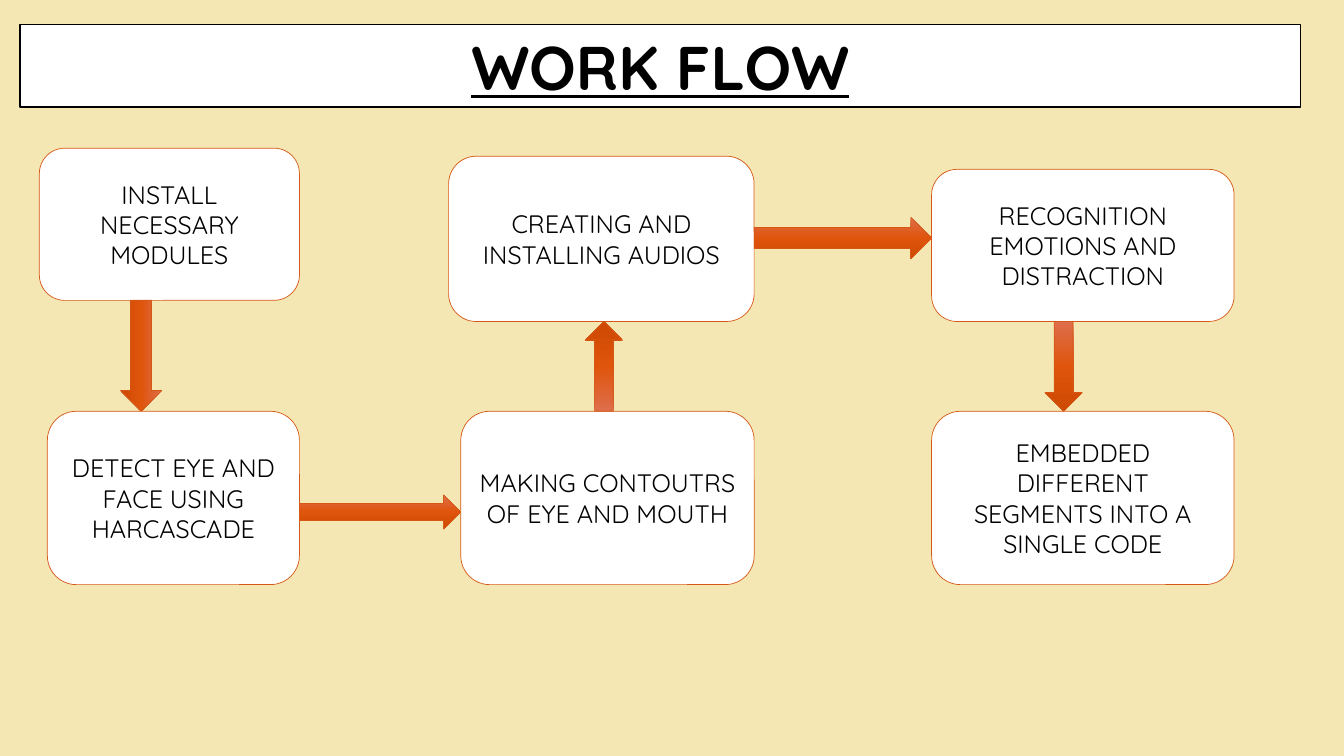
"""Build the work flow slide: six steps joined by block arrows."""
from dataclasses import dataclass

import pptx
import pptx.dml.color
import pptx.enum.shapes
import pptx.enum.text
import pptx.oxml
import pptx.oxml.ns
import pptx.util

Inches = pptx.util.Inches
Shape = pptx.enum.shapes.MSO_SHAPE

TITLE = "WORK FLOW"
TITLE_FRAME = (0.2, 0.24, 12.7, 0.82)

STEPS = {
    "install": ("INSTALL NECESSARY MODULES", (0.39, 1.47, 2.58, 1.51)),
    "detect": ("DETECT EYE AND FACE USING HARCASCADE", (0.47, 4.08, 2.5, 1.72)),
    "contours": ("MAKING CONTOUTRS OF EYE AND MOUTH", (4.57, 4.08, 2.91, 1.72)),
    "audios": ("CREATING AND INSTALLING AUDIOS", (4.45, 1.55, 3.03, 1.64)),
    "emotions": ("RECOGNITION EMOTIONS AND DISTRACTION", (9.24, 1.68, 3, 1.51)),
    "embed": ("EMBEDDED DIFFERENT SEGMENTS INTO A SINGLE CODE", (9.24, 4.08, 3, 1.72)),
}

# start, end, direction, centre across the arrow, breadth, preset, rotation
ARROWS = [
    ("install", "detect", "down", 1.4, 0.41, Shape.RIGHT_ARROW, 90),
    ("detect", "contours", "right", 5.08, 0.34, Shape.RIGHT_ARROW, 0),
    ("contours", "audios", "up", 5.99, 0.37, Shape.DOWN_ARROW, 180),
    ("audios", "emotions", "right", 2.36, 0.41, Shape.RIGHT_ARROW, 0),
    ("emotions", "embed", "down", 10.55, 0.37, Shape.DOWN_ARROW, 0),
]


@dataclass(frozen=True)
class Theme:
    """Colours, font and sizes."""
    font: str = "Quicksand"
    background: str = "F5E7B4"
    panel: str = "FFFFFF"
    ink: str = "000000"
    accent: str = "D55816"
    gradient: tuple = ((0, "DE6E4C"), (50, "DF550C"), (100, "CE4903"))
    title_size: int = 44
    step_size: int = 18
    title_line: float = 1
    step_line: float = 0.5


THEME = Theme()


def colour(value):
    """Return an RGB colour."""
    return pptx.dml.color.RGBColor.from_string(value)


def paint_solid(fill, value):
    """Give a fill one colour."""
    fill.solid()
    fill.fore_color.rgb = colour(value)


def set_line(shape, value, width):
    """Set the outline colour and width."""
    paint_solid(shape.line.fill, value)
    shape.line.width = pptx.util.Pt(width)


def write_text(shape, text, size, bold=False, underline=False):
    """Write one centred paragraph in a shape."""
    frame = shape.text_frame
    frame.word_wrap = True
    frame.auto_size = pptx.enum.text.MSO_AUTO_SIZE.NONE
    frame.vertical_anchor = pptx.enum.text.MSO_ANCHOR.MIDDLE
    para = frame.paragraphs[0]
    para.alignment = pptx.enum.text.PP_ALIGN.CENTER
    span = para.add_run()
    span.text = text
    span.font.name = THEME.font
    span.font.size = pptx.util.Pt(size)
    span.font.bold = bold
    span.font.underline = underline
    span.font.color.rgb = colour(THEME.ink)


def add_title(page):
    """Format the title placeholder as a rounded panel."""
    title = page.shapes.title
    title.left, title.top, title.width, title.height = map(Inches, TITLE_FRAME)
    title.element.spPr.insert(1, pptx.oxml.parse_xml(
        f'<a:prstGeom {pptx.oxml.ns.nsdecls("a")} prst="roundRect"><a:avLst/></a:prstGeom>'))
    paint_solid(title.fill, THEME.panel)
    set_line(title, THEME.ink, THEME.title_line)
    write_text(title, TITLE, THEME.title_size, bold=True, underline=True)


def add_shape(page, preset, frame):
    """Add a preset shape with a thin accent outline and no shadow."""
    shape = page.shapes.add_shape(preset, *map(Inches, frame))
    shape.shadow.inherit = False
    set_line(shape, THEME.accent, THEME.step_line)
    return shape


def add_step(page, text, frame):
    """Add one step box."""
    box = add_shape(page, Shape.ROUNDED_RECTANGLE, frame)
    paint_solid(box.fill, THEME.panel)
    write_text(box, text, THEME.step_size)


def add_arrow(page, start, end, direction, centre, breadth, preset, rotation):
    """Add a block arrow that fills the gap between two steps."""
    first, second = STEPS[start][1], STEPS[end][1]
    if direction == "up":
        first, second = second, first
    axis = 0 if direction == "right" else 1
    near = first[axis] + first[axis + 2]
    length = second[axis] - near
    middle = near + length / 2
    x, y = (middle, centre) if axis == 0 else (centre, middle)
    width, height = (length, breadth) if preset == Shape.RIGHT_ARROW else (breadth, length)
    arrow = add_shape(page, preset, (x - width / 2, y - height / 2, width, height))
    arrow.rotation = rotation
    stops = "".join(f'<a:gs pos="{place * 1000}"><a:srgbClr val="{value}"/></a:gs>'
                    for place, value in THEME.gradient)
    arrow.element.spPr.insert(2, pptx.oxml.parse_xml(
        f'<a:gradFill {pptx.oxml.ns.nsdecls("a")} rotWithShape="1"><a:gsLst>{stops}</a:gsLst>'
        '<a:lin ang="5400000" scaled="0"/></a:gradFill>'))


def main():
    """Build and save the deck."""
    deck = pptx.Presentation()
    deck.slide_width, deck.slide_height = Inches(13.33), Inches(7.5)
    page = deck.slides.add_slide(deck.slide_layouts.get_by_name("Title Only"))
    paint_solid(page.background.fill, THEME.background)
    add_title(page)
    for text, frame in STEPS.values():
        add_step(page, text, frame)
    for arrow in ARROWS:
        add_arrow(page, *arrow)
    deck.save("out.pptx")


if __name__ == "__main__":
    main()
